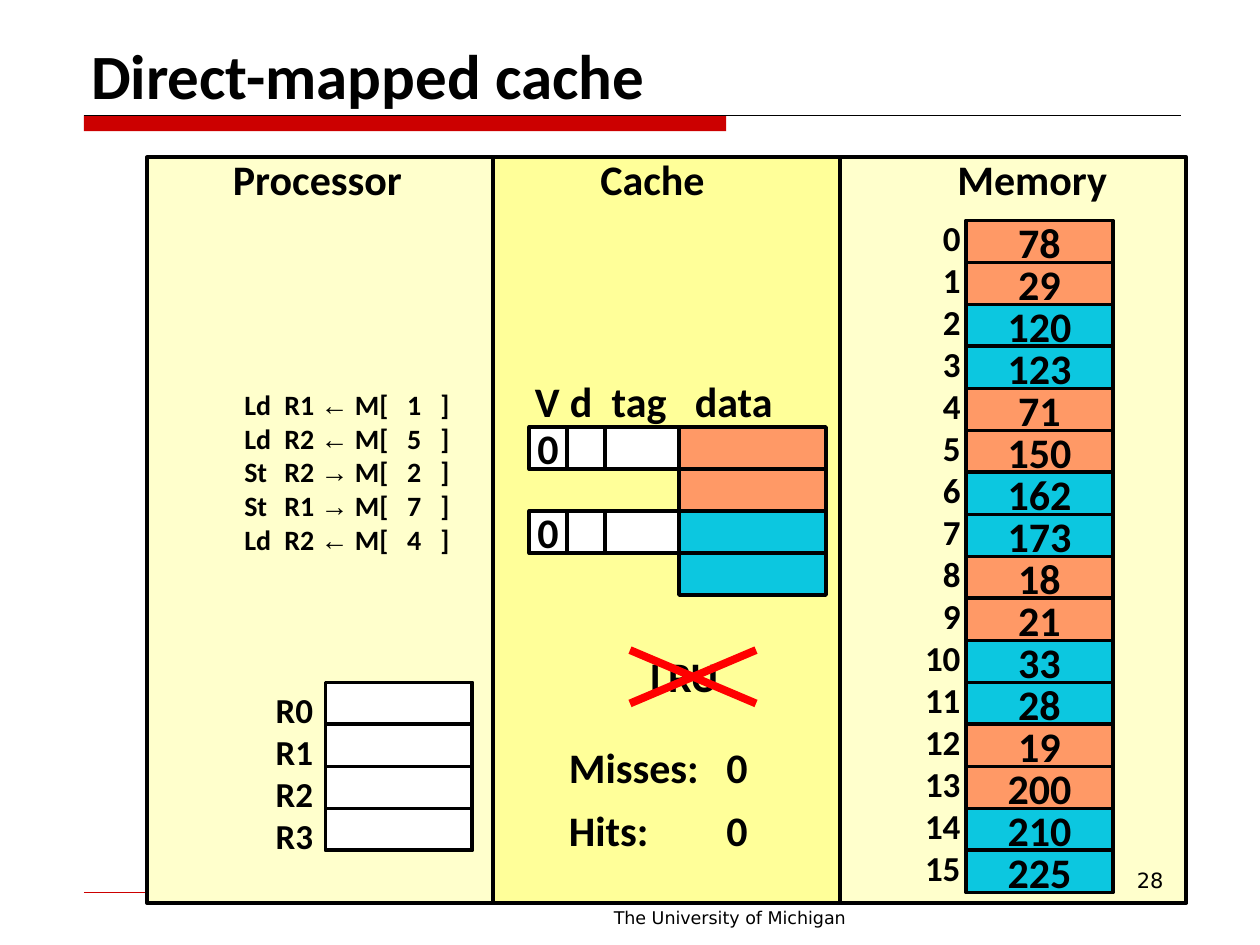
from dataclasses import dataclass
from typing import Optional

from lxml.etree import SubElement
from pptx import Presentation
from pptx.dml.color import RGBColor
from pptx.enum.shapes import MSO_CONNECTOR, MSO_SHAPE
from pptx.enum.text import MSO_ANCHOR, MSO_AUTO_SIZE, PP_ALIGN
from pptx.oxml.ns import qn
from pptx.util import Pt

COLORS = {
    "black": "000000", "white": "FFFFFF", "rule": "CC0000", "cross": "FF0000",
    "pale": "FFFFCC", "yellow": "FFFF99", "orange": "FF9966", "cyan": "0CC7E0",
}
ROW, WORD = 24, 84  # height of a storage row, width of a data word
MEMORY = [78, 29, 120, 123, 71, 150, 162, 173, 18, 21, 33, 28, 19, 200, 210, 225]
INSTRUCTIONS = [("Ld", "R1", "←", 1), ("Ld", "R2", "←", 5), ("St", "R2", "→", 2),
                ("St", "R1", "→", 7), ("Ld", "R2", "←", 4)]


@dataclass
class Box:
    x: float
    y: float
    w: float
    h: float
    fill: str = "white"
    text: str = ""
    outlined: bool = True


@dataclass
class Label:
    text: str
    x: float
    y: float
    w: float
    h: float
    size: float = 24
    align: PP_ALIGN = PP_ALIGN.LEFT
    font: str = "Calibri"
    bold: bool = True
    wrap: bool = False
    anchor: MSO_ANCHOR = MSO_ANCHOR.TOP
    tabs: tuple = ()


@dataclass
class Line:
    x1: float
    y1: float
    x2: float
    y2: float
    color: str
    width: float


def rgb(name: str) -> RGBColor:
    return RGBColor.from_string(COLORS[name])


def style_run(r, size: float, font: str = "Calibri", bold: bool = True) -> None:
    r.font.size, r.font.name, r.font.bold = Pt(size), font, bold
    r.font.color.rgb = rgb("black")


def add_tabs(p, stops: tuple) -> None:
    tabs = SubElement(p._p.get_or_add_pPr(), qn("a:tabLst"))
    for stop in stops:
        SubElement(tabs, qn("a:tab"), pos=str(Pt(stop)), algn="l")


def draw_box(s, b: Box):
    sp = s.shapes.add_shape(MSO_SHAPE.RECTANGLE, Pt(b.x), Pt(b.y), Pt(b.w), Pt(b.h))
    sp.shadow.inherit = False
    sp.fill.solid()
    sp.fill.fore_color.rgb = rgb(b.fill)
    if b.outlined:
        sp.line.color.rgb = rgb("black")
        sp.line.width = Pt(2.25)
    else:
        sp.line.fill.background()
    if b.text:
        tf = sp.text_frame
        tf.text = b.text
        tf.word_wrap = False
        tf.vertical_anchor = MSO_ANCHOR.MIDDLE
        p = tf.paragraphs[0]
        p.alignment = PP_ALIGN.CENTER
        style_run(p.runs[0], 24)
    return sp


def draw_label(s, lb: Label):
    sp = s.shapes.add_textbox(Pt(lb.x), Pt(lb.y), Pt(lb.w), Pt(lb.h))
    tf = sp.text_frame
    tf.text = lb.text
    tf.word_wrap = lb.wrap
    tf.vertical_anchor = lb.anchor
    if not lb.wrap:
        tf.auto_size = MSO_AUTO_SIZE.SHAPE_TO_FIT_TEXT
    for p in tf.paragraphs:
        p.alignment = lb.align
        if lb.tabs:
            add_tabs(p, lb.tabs)
        for r in p.runs:
            style_run(r, lb.size, lb.font, lb.bold)
    return tf


def draw_line(s, ln: Line) -> None:
    c = s.shapes.add_connector(MSO_CONNECTOR.STRAIGHT, Pt(ln.x1), Pt(ln.y1), Pt(ln.x2), Pt(ln.y2))
    c.line.color.rgb = rgb(ln.color)
    c.line.width = Pt(ln.width)
    SubElement(c._element.spPr, qn("a:effectLst"))


def draw_program(s) -> None:
    tf = draw_label(s, Label("", 132.5, 218, 137, 104.5, wrap=True))
    for i, (op, reg, arrow, address) in enumerate(INSTRUCTIONS):
        p = tf.paragraphs[0] if i == 0 else tf.add_paragraph()
        add_tabs(p, (23, 93, 112))
        parts = [(f"{op}\t{reg} ", "Calibri"), (arrow, "Arial"),
                 (f" M[\t{address}\t]", "Calibri")]
        for text, font in parts:
            r = p.add_run()
            r.text = text
            style_run(r, 16, font)


def main() -> None:
    prs = Presentation()
    prs.slide_width, prs.slide_height = Pt(720), Pt(540)
    s = prs.slides.add_slide(prs.slide_layouts[6])

    # Rules, footer and title
    draw_box(s, Box(48, 66, 367, 9, "rule", outlined=False))
    draw_line(s, Line(48, 66, 675, 66, "black", 0.5))
    draw_line(s, Line(48, 510, 672, 510, "rule", 0.25))
    draw_label(s, Label("The University of Michigan", 282, 515, 270, 19.5, 10,
                        PP_ALIGN.CENTER, "DejaVu Sans", False, True))

    # Three panels with headings
    for x, fill in ((282, "yellow"), (480, "pale"), (84, "pale")):
        draw_box(s, Box(x, 90, 198, 426, fill))
    draw_label(s, Label("Direct-mapped cache", 45, 17.5, 630, 50, 36,
                        wrap=True, anchor=MSO_ANCHOR.BOTTOM))
    for text, x, w in (("Processor", 126, 114.5), ("Cache", 336, 74), ("Memory", 540, 102)):
        draw_label(s, Label(text, x, 84, w, 36))

    # Memory: blocks of two words alternate in colour
    for i, value in enumerate(MEMORY):
        fill = ("orange", "cyan")[i // 2 % 2]
        draw_box(s, Box(552, 126 + i * ROW, WORD, ROW, fill, str(value)))
    addresses = "\n".join(str(i) for i in range(len(MEMORY)))
    draw_label(s, Label(addresses, 521.5, 120, 34.5, 395, 20, PP_ALIGN.RIGHT))

    # Processor: program and registers
    draw_program(s)
    for i in range(4):
        draw_box(s, Box(186, 390 + i * ROW, WORD, ROW))
    draw_label(s, Label("R0\nR1\nR2\nR3", 150.5, 390, 36, 104.5, 20))

    # Cache: two lines of two words each
    draw_label(s, Label("V\td\ttag\tdata", 298.5, 211, 161.5, 36, wrap=True, tabs=(20, 44, 91.5)))
    for i, fill in enumerate(("orange", "cyan")):
        y = 244 + 2 * i * ROW
        draw_box(s, Box(346, y, 42, ROW))
        for word in range(2):
            draw_box(s, Box(388, y + word * ROW, WORD, ROW, fill))
        draw_box(s, Box(324, y, 22, ROW))
        draw_box(s, Box(302.5, y, 21.5, ROW, text="0"))

    # Counters
    tf = draw_label(s, Label("Misses:\t0\nHits:\t0", 318, 420, 121, 75, wrap=True, tabs=(90,)))
    tf.paragraphs[1].space_before = Pt(7.3)

    # Crossed-out replacement policy
    draw_label(s, Label("LRU", 364.5, 368, 54, 36.5))
    for x1, x2 in ((360, 432), (432, 360)):
        draw_line(s, Line(x1, 402, x2, 371.5, "cross", 4.5))

    # Slide number
    draw_label(s, Label("28", 552, 492, 120, 37.5, 12, PP_ALIGN.RIGHT, "DejaVu Sans", False, True))

    prs.save("out.pptx")


if __name__ == "__main__":
    main()
